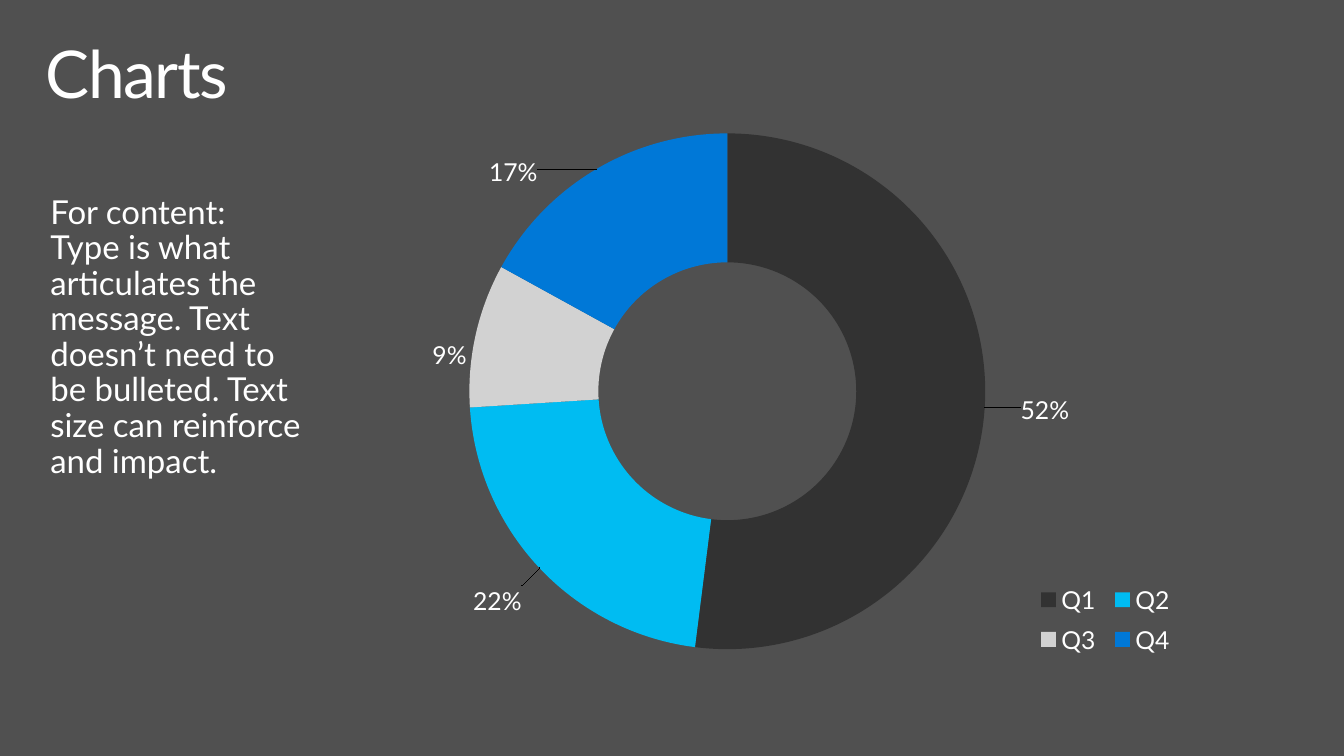
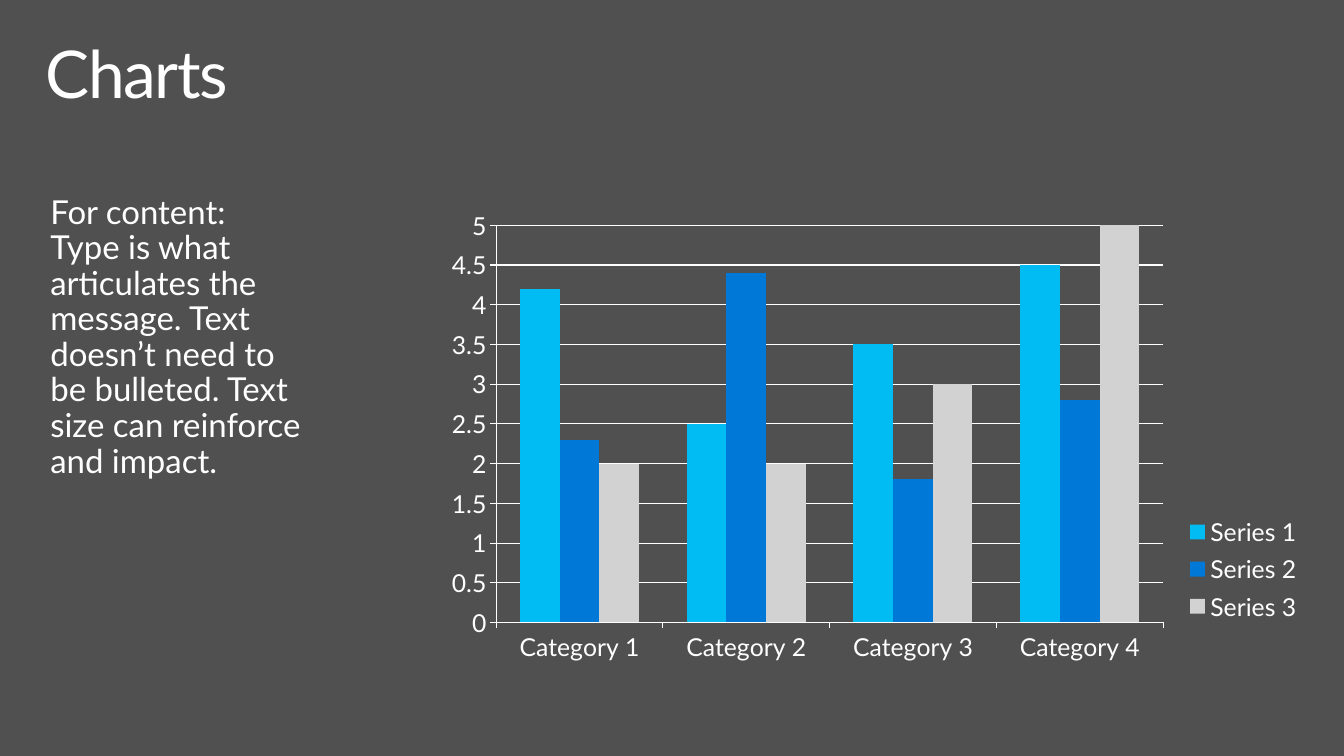
from lxml.etree import SubElement
from pptx import Presentation
from pptx.chart.data import CategoryChartData
from pptx.dml.color import RGBColor
from pptx.enum.chart import XL_CHART_TYPE, XL_LEGEND_POSITION, XL_TICK_MARK
from pptx.enum.text import MSO_ANCHOR, MSO_AUTO_SIZE, PP_ALIGN
from pptx.oxml import parse_xml
from pptx.oxml.ns import nsdecls, qn
from pptx.util import Pt

# Style
EMU_PER_PX = 9144  # 100 px to the inch
FONT = "Lato"
GREY = RGBColor(0x50, 0x50, 0x50)
WHITE = RGBColor(0xFF, 0xFF, 0xFF)
CHARCOAL = RGBColor(0x32, 0x32, 0x32)
CYAN = RGBColor(0x00, 0xBC, 0xF2)
SILVER = RGBColor(0xD2, 0xD2, 0xD2)
BLUE = RGBColor(0x00, 0x78, 0xD7)

TITLE = "Charts"
BODY_LINES = [
    "For content:",
    "Type is what articulates the message. Text doesn’t need to be bulleted. "
    "Text size can reinforce and impact.",
]


def px(length):
    return length * EMU_PER_PX


def set_layout(parent, index, target=None, mode="edge", **values):
    """Give a chart part a manual layout, in fractions of the chart."""
    for old in parent.findall(qn("c:layout")):
        parent.remove(old)
    layout = parse_xml(f"<c:layout {nsdecls('c')}><c:manualLayout/></c:layout>")
    settings = {"layoutTarget": target} if target else {}
    if mode == "edge":
        settings.update(xMode=mode, yMode=mode)
    settings.update(values)
    for name, value in settings.items():
        SubElement(layout[0], qn(f"c:{name}")).set("val", str(value))
    parent.insert(index, layout)


class DeckBuilder:
    """Holds the deck, its style and the current slide."""

    def __init__(self):
        self.deck = Presentation()
        self.deck.slide_width, self.deck.slide_height = px(1360), px(765)
        background = self.deck.slide_master.background.fill
        background.solid()
        background.fore_color.rgb = GREY
        self.slide = None

    def style_font(self, font, size):
        font.name, font.size, font.color.rgb = FONT, Pt(size), WHITE

    def fill_frame(self, box, lines, size, inset_x, inset_y):
        frame = box.text_frame
        frame.word_wrap = True
        frame.auto_size = MSO_AUTO_SIZE.NONE
        frame.vertical_anchor = MSO_ANCHOR.TOP
        frame.margin_left = frame.margin_right = px(inset_x)
        frame.margin_top = frame.margin_bottom = px(inset_y)
        para = frame.paragraphs[0]
        para.alignment = PP_ALIGN.LEFT
        para.line_spacing = 0.9
        for number, line in enumerate(lines):
            if number:
                para.add_line_break()
            span = para.add_run()
            span.text = line
            self.style_font(span.font, size)
        return para

    def page(self, title):
        self.slide = self.deck.slides.add_slide(self.deck.slide_layouts[5])
        box = self.slide.shapes.title
        box.left, box.top, box.width, box.height = px(30), px(32), px(1300), px(100)
        para = self.fill_frame(box, [title], 48, 16, 10)
        para.runs[0].font._element.set("spc", "-100")

    def body(self, lines):
        box = self.slide.shapes.add_textbox(px(31), px(182), px(300), px(550))
        self.fill_frame(box, lines, 24, 20, 16)

    def chart(self, kind, categories, series, plot_area, legend_area):
        data = CategoryChartData()
        data.categories = categories
        for name, values in series:
            data.add_series(name, values)
        chart = self.slide.shapes.add_chart(
            kind, px(430), px(132), px(900), px(600), data).chart
        chart.has_title = False
        self.style_font(chart.font, 18)
        chart.has_legend = True
        chart.legend.position = XL_LEGEND_POSITION.RIGHT
        chart.legend.include_in_layout = False
        self.style_font(chart.legend.font, 18)
        for parent, index, target, area in (
            (chart._chartSpace.chart.plotArea, 0, "inner", plot_area),
            (chart.legend._element, 1, None, legend_area),
        ):
            set_layout(parent, index, target, **dict(zip("xywh", area)))
        return chart

    def doughnut(self, name, slices, plot_area, legend_area):
        """Each slice is its category, value, colour and label offset."""
        categories, values, colours, offsets = zip(*slices)
        chart = self.chart(XL_CHART_TYPE.DOUGHNUT, categories, [(name, values)],
                           plot_area, legend_area)
        chart.plots[0].vary_by_categories = True
        ring = chart.plots[0].series[0]
        labels = ring.data_labels
        labels.show_percentage, labels.show_value = True, False
        self.style_font(labels.font, 18)
        for index, colour in enumerate(colours):
            point = ring.points[index]
            point.format.fill.solid()
            point.format.fill.fore_color.rgb = colour
            self.style_font(point.data_label.font, 18)
        for label, (x, y) in zip(ring._element.xpath("c:dLbls/c:dLbl"), offsets):
            label.find(qn("c:showVal")).set("val", "0")
            label.find(qn("c:showPercent")).set("val", "1")
            set_layout(label, 1, mode="factor", x=x, y=y)

    def columns(self, categories, series, plot_area, legend_area):
        """Each series is its name, values and colour."""
        chart = self.chart(XL_CHART_TYPE.COLUMN_CLUSTERED, categories,
                           [entry[:2] for entry in series], plot_area, legend_area)
        plot = chart.plots[0]
        plot.vary_by_categories = False
        plot.gap_width, plot.overlap = 120, 0
        for bars, (_, _, colour) in zip(plot.series, series):
            bars.format.fill.solid()
            bars.format.fill.fore_color.rgb = colour
        scale = chart.value_axis
        scale.minimum_scale, scale.maximum_scale, scale.major_unit = 0, 5, 0.5
        scale.has_major_gridlines = True
        for axis in (chart.category_axis, scale):
            axis.major_tick_mark = XL_TICK_MARK.OUTSIDE
            axis.minor_tick_mark = XL_TICK_MARK.NONE
            self.style_font(axis.tick_labels.font, 18)
        for part in (chart.category_axis, scale, scale.major_gridlines):
            part.format.line.color.rgb = WHITE
            part.format.line.width = Pt(0.75)


def main():
    builder = DeckBuilder()

    # Doughnut slide
    builder.page(TITLE)
    builder.doughnut(
        "Series 1",
        [
            ("Q1", 52, CHARCOAL, (0.14, 0.01)),
            ("Q2", 22, CYAN, (-0.1, 0.13)),
            ("Q3", 9, SILVER, (-0.1, 0.01)),
            ("Q4", 17, BLUE, (-0.13, -0.09)),
        ],
        plot_area=(0.05, 0, 0.58, 0.88),
        legend_area=(0.68, 0.75, 0.17, 0.15),
    )
    builder.body(BODY_LINES)

    # Column slide
    builder.page(TITLE)
    builder.columns(
        [f"Category {number}" for number in range(1, 5)],
        [
            ("Series 1", (4.2, 2.5, 3.5, 4.5), CYAN),
            ("Series 2", (2.3, 4.4, 1.8, 2.8), BLUE),
            ("Series 3", (2, 2, 3, 5), SILVER),
        ],
        plot_area=(0.08, 0.16, 0.75, 0.67),
        legend_area=(0.85, 0.64, 0.14, 0.2),
    )
    builder.body(BODY_LINES)

    builder.deck.save("out.pptx")


if __name__ == "__main__":
    main()
